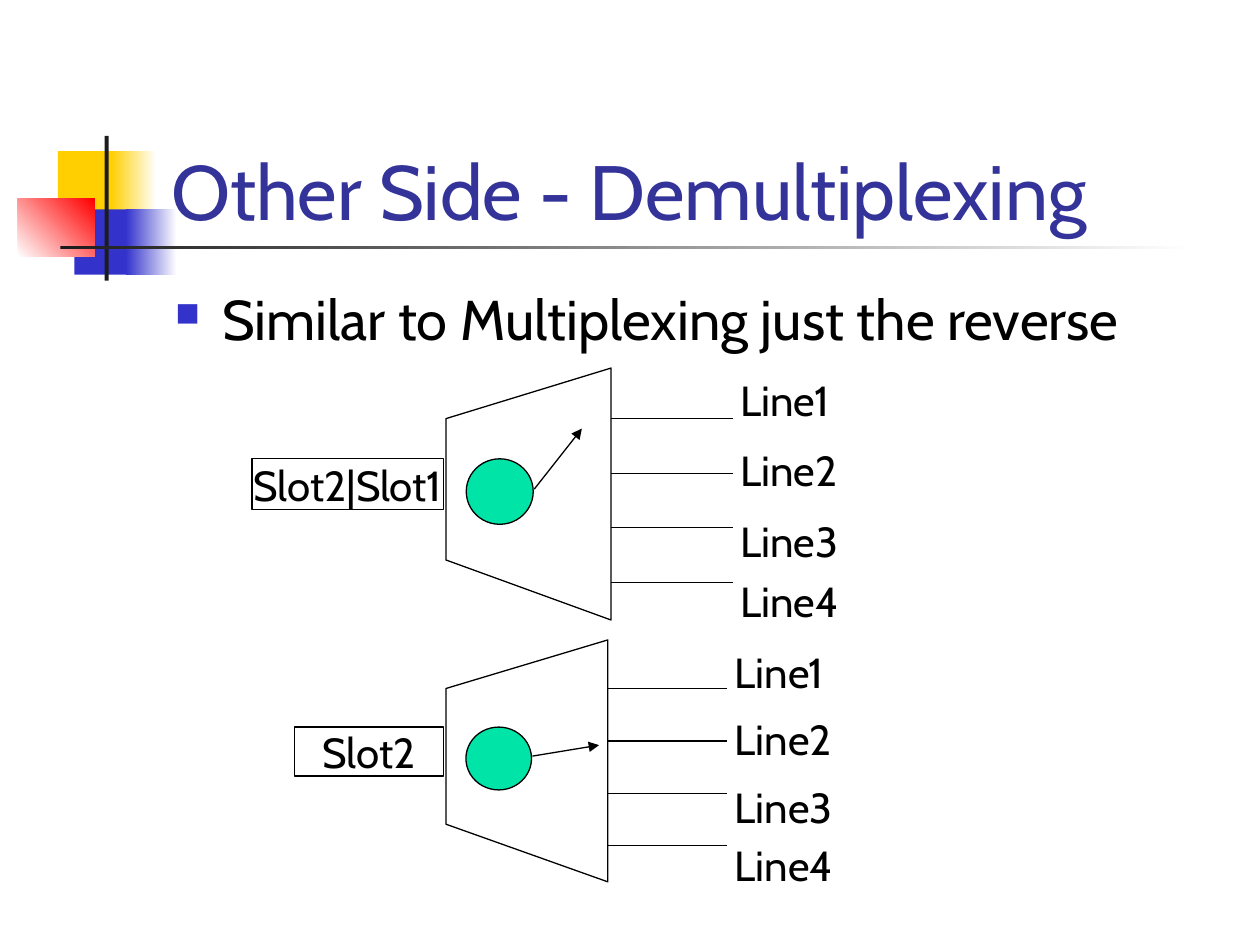
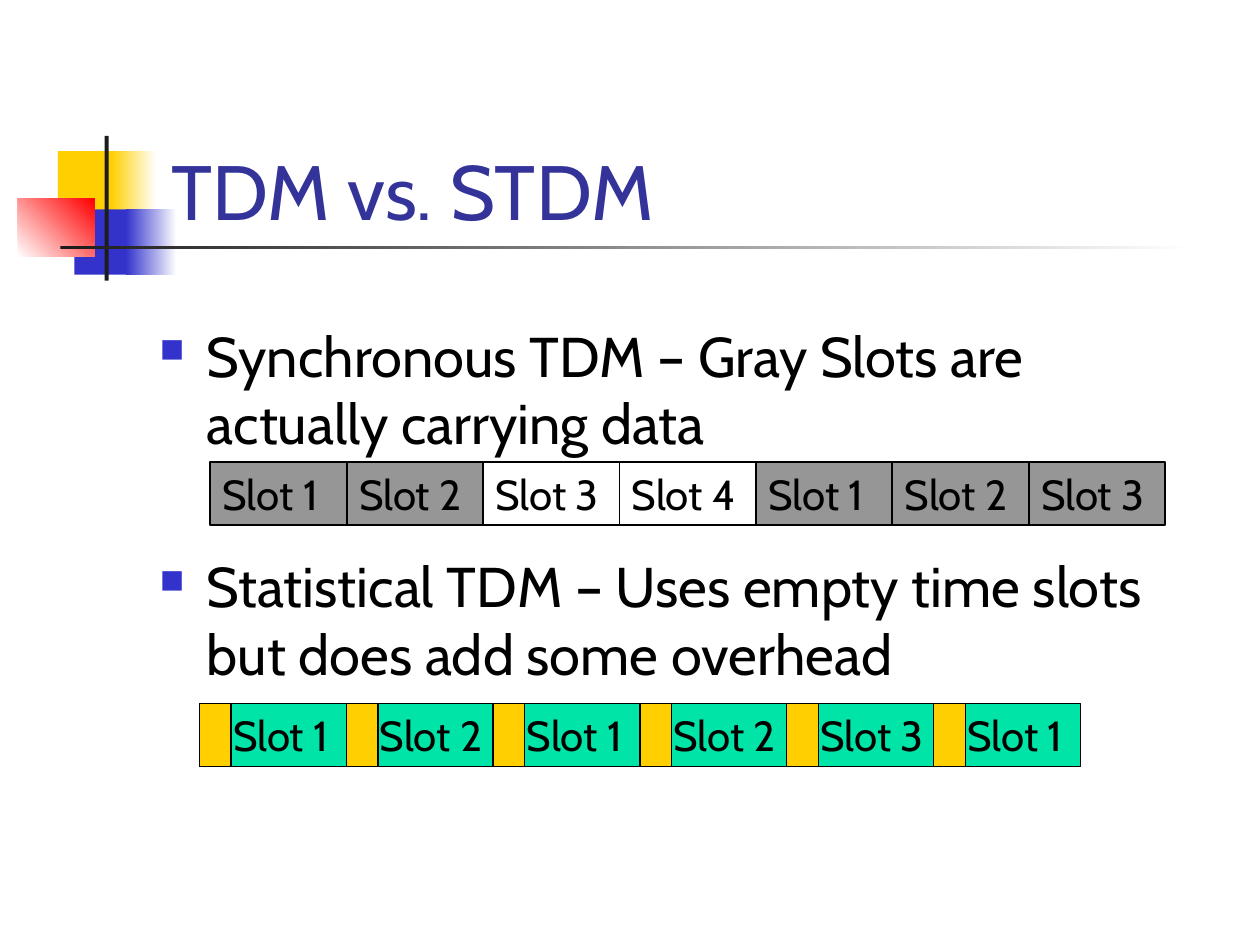
import pptx
import pptx.dml.color
import pptx.enum.shapes
import pptx.enum.text
import pptx.oxml
import pptx.oxml.ns
import pptx.util
from lxml import etree

Cm = pptx.util.Cm
Pt = pptx.util.Pt
RGBColor = pptx.dml.color.RGBColor
Shape = pptx.enum.shapes.MSO_SHAPE
Align = pptx.enum.text.PP_ALIGN
Anchor = pptx.enum.text.MSO_ANCHOR
qn = pptx.oxml.ns.qn

BLACK = RGBColor(0x00, 0x00, 0x00)
WHITE = RGBColor(0xFF, 0xFF, 0xFF)
CHARCOAL = RGBColor(0x1C, 0x1C, 0x1C)
GRAY = RGBColor(0x96, 0x96, 0x96)
YELLOW = RGBColor(0xFF, 0xCF, 0x01)
RED = RGBColor(0xFF, 0x00, 0x00)
BLUE = RGBColor(0x33, 0x33, 0xCC)
NAVY = RGBColor(0x33, 0x33, 0x99)
GREEN = RGBColor(0x00, 0xE4, 0xA8)
FONT = "Cabin"

# Content. Frames are (left, top, width, height) in centimetres.
TITLE_FRAME = (3.2, 1.7, 21.64, 3.18)
DECORATION = [  # frame, fill: one colour or (from, to, angle)
    ((1.17, 3.05, 1.22, 1.32), YELLOW),
    ((2.24, 3.05, 0.91, 1.32), (YELLOW, WHITE, 0)),
    ((1.5, 4.22, 1.17, 1.32), BLUE),
    ((2.54, 4.22, 1.02, 1.32), (BLUE, WHITE, 0)),
    ((0.36, 4.01, 1.55, 1.17), (WHITE, RED, 45)),
    ((2.11, 2.74, 0.08, 2.92), CHARCOAL),
    ((1.22, 4.95, 22.86, 0.08), (CHARCOAL, WHITE, 0)),
]
SLIDES = [
    ("Other Side - Demultiplexing", [
        ("Similar to Multiplexing just the reverse", (3.28, 5.61, 21.59, 11.43)),
    ]),
    ("TDM vs. STDM", [
        ("Synchronous TDM – Gray Slots are actually carrying data",
         (2.97, 6.35, 21.59, 4.01)),
        ("Statistical TDM – Uses empty time slots but does add some overhead",
         (2.97, 11, 21.59, 2.97)),
    ]),
]
DEMUX_LEFT = 8.99
DEMUXES = [
    {"top": 7.42, "scale": (1, 1), "slots": "Slot2|Slot1",
     "slots_width": 3.86, "arrow_tip": (2.74, 1.22)},
    {"top": 12.9, "scale": (0.98, 0.96), "slots": "Slot2",
     "slots_width": 3, "arrow_tip": (3.15, 2.21)},
]
OUTPUT_LABELS = [("Line1", 0), ("Line2", 1.42), ("Line3", 2.84), ("Line4", 4.06)]

SYNCHRONOUS_SLOTS = [("Slot 1", True), ("Slot 2", True), ("Slot 3", False),
                     ("Slot 4", False), ("Slot 1", True), ("Slot 2", True),
                     ("Slot 3", True)]  # label, carries data
STATISTICAL_SLOTS = ["Slot 1", "Slot 2", "Slot 1", "Slot 2", "Slot 3", "Slot 1"]
SLOT_HEIGHT = 1.27
SYNCHRONOUS_LEFT, SYNCHRONOUS_TOP, SYNCHRONOUS_WIDTH = 4.24, 9.31, 2.75
STATISTICAL_LEFT, STATISTICAL_TOP, STATISTICAL_WIDTH = 4.02, 14.18, 2.96
HEADER_WIDTH = 0.64


def to_cm(values):
    return [Cm(value) for value in values]


def add_bullet(para):
    props = para._p.get_or_add_pPr()
    props.set("marL", str(Cm(0.95)))
    props.set("indent", str(-Cm(0.95)))
    color = etree.SubElement(props, qn("a:buClr"))
    etree.SubElement(color, qn("a:srgbClr"), val=str(BLUE))
    etree.SubElement(props, qn("a:buSzPct"), val="60000")
    etree.SubElement(props, qn("a:buChar"), char="■")


def write_text(box, text, size=24, color=BLACK, align=Align.LEFT,
               anchor=Anchor.TOP, wrap=True, bullet=False, left_inset=0.25,
               right_inset=0.25):
    frame = box.text_frame
    frame.word_wrap = wrap
    frame.vertical_anchor = anchor
    frame.margin_left, frame.margin_right = to_cm((left_inset, right_inset))
    para = frame.paragraphs[0]
    para.alignment = align
    if bullet:
        add_bullet(para)
    span = para.add_run()
    span.text = text
    span.font.name = FONT
    span.font.size = Pt(size)
    span.font.color.rgb = color


def add_text(page, text, frame, **style):
    write_text(page.shapes.add_textbox(*to_cm(frame)), text, **style)


def paint(shape, fill=None, line_width=None):
    """Fill with a colour, a (from, to, angle) gradient or nothing."""
    shape.shadow.inherit = False
    if fill is None:
        shape.fill.background()
    elif isinstance(fill, RGBColor):
        shape.fill.solid()
        shape.fill.fore_color.rgb = fill
    else:
        *colors, angle = fill
        shape.fill.gradient()
        shape.fill.gradient_angle = angle
        for stop, color in zip(shape.fill.gradient_stops, colors):
            stop.color.rgb = color
    if line_width is None:
        shape.line.fill.background()
    else:
        shape.line.color.rgb = BLACK
        shape.line.width = Pt(line_width)


def add_shape(page, frame, fill=None, line_width=None, kind=Shape.RECTANGLE):
    shape = page.shapes.add_shape(kind, *to_cm(frame))
    paint(shape, fill, line_width)
    return shape


def add_line(page, start, end, arrow=False):
    line = page.shapes.add_connector(
        pptx.enum.shapes.MSO_CONNECTOR.STRAIGHT, *to_cm(start), *to_cm(end))
    line.line.color.rgb = BLACK
    line.line.width = Pt(0.75)
    if arrow:
        etree.SubElement(line.line._get_or_add_ln(), qn("a:tailEnd"), type="triangle")
    etree.SubElement(line._element.spPr, qn("a:effectLst"))


def add_demux(page, top, scale, slots, slots_width, arrow_tip):
    def place(x, y):
        return DEMUX_LEFT + x * scale[0], top + y * scale[1]

    def frame(x, y, width, height):
        return *place(x, y), width * scale[0], height * scale[1]

    corners = [to_cm(place(*corner))
               for corner in ((0, 1.02), (3.33, 0), (3.33, 5.08), (0, 3.87))]
    builder = page.shapes.build_freeform(*corners[0])
    builder.add_line_segments(corners[1:], close=True)
    paint(builder.convert_to_shape(), line_width=0.75)

    _, slots_top, _, slots_height = frame(0, 1.83, 0, 1.03)
    slots_box = add_shape(
        page, (DEMUX_LEFT - 0.05 - slots_width, slots_top, slots_width, slots_height),
        WHITE, 0.75)
    write_text(slots_box, slots, align=Align.CENTER, anchor=Anchor.MIDDLE, wrap=False)

    for index, (label, label_top) in enumerate(OUTPUT_LABELS):
        output_y = 1.02 + 1.1 * index
        add_line(page, place(3.33, output_y), place(5.79, output_y))
        add_text(page, label, frame(5.69, label_top, 2.69, 1.27))

    add_shape(page, frame(0.41, 1.83, 1.35, 1.32), GREEN, 0.75, Shape.OVAL)
    add_line(page, place(1.78, 2.44), place(*arrow_tip), arrow=True)


def add_synchronous_slots(page):
    for index, (label, carries_data) in enumerate(SYNCHRONOUS_SLOTS):
        left = SYNCHRONOUS_LEFT + index * SYNCHRONOUS_WIDTH
        slot = add_shape(page, (left, SYNCHRONOUS_TOP, SYNCHRONOUS_WIDTH, SLOT_HEIGHT),
                         GRAY if carries_data else None, 1)
        write_text(slot, label)


def add_statistical_slots(page):
    for index, label in enumerate(STATISTICAL_SLOTS):
        left = STATISTICAL_LEFT + index * STATISTICAL_WIDTH
        slot = add_shape(page, (left, STATISTICAL_TOP, STATISTICAL_WIDTH, SLOT_HEIGHT),
                         GREEN, 0.75)
        write_text(slot, label, left_inset=HEADER_WIDTH + 0.04, right_inset=0)
        add_shape(page, (left, STATISTICAL_TOP, HEADER_WIDTH, SLOT_HEIGHT), YELLOW, 0.75)


def add_page(deck, title, bullets):
    page = deck.slides.add_slide(deck.slide_layouts[6])
    for frame, fill in DECORATION:
        add_shape(page, frame, fill)
    add_text(page, title, TITLE_FRAME, size=44, color=NAVY, anchor=Anchor.BOTTOM)
    for text, frame in bullets:
        add_text(page, text, frame, size=32, bullet=True)
    return page


def main():
    deck = pptx.Presentation()
    deck.slide_width, deck.slide_height = Cm(25.4), Cm(19.05)
    demux_page, tdm_page = [add_page(deck, *slide) for slide in SLIDES]
    for demux in DEMUXES:
        add_demux(demux_page, **demux)
    add_synchronous_slots(tdm_page)
    add_statistical_slots(tdm_page)
    deck.save("out.pptx")


if __name__ == "__main__":
    main()
